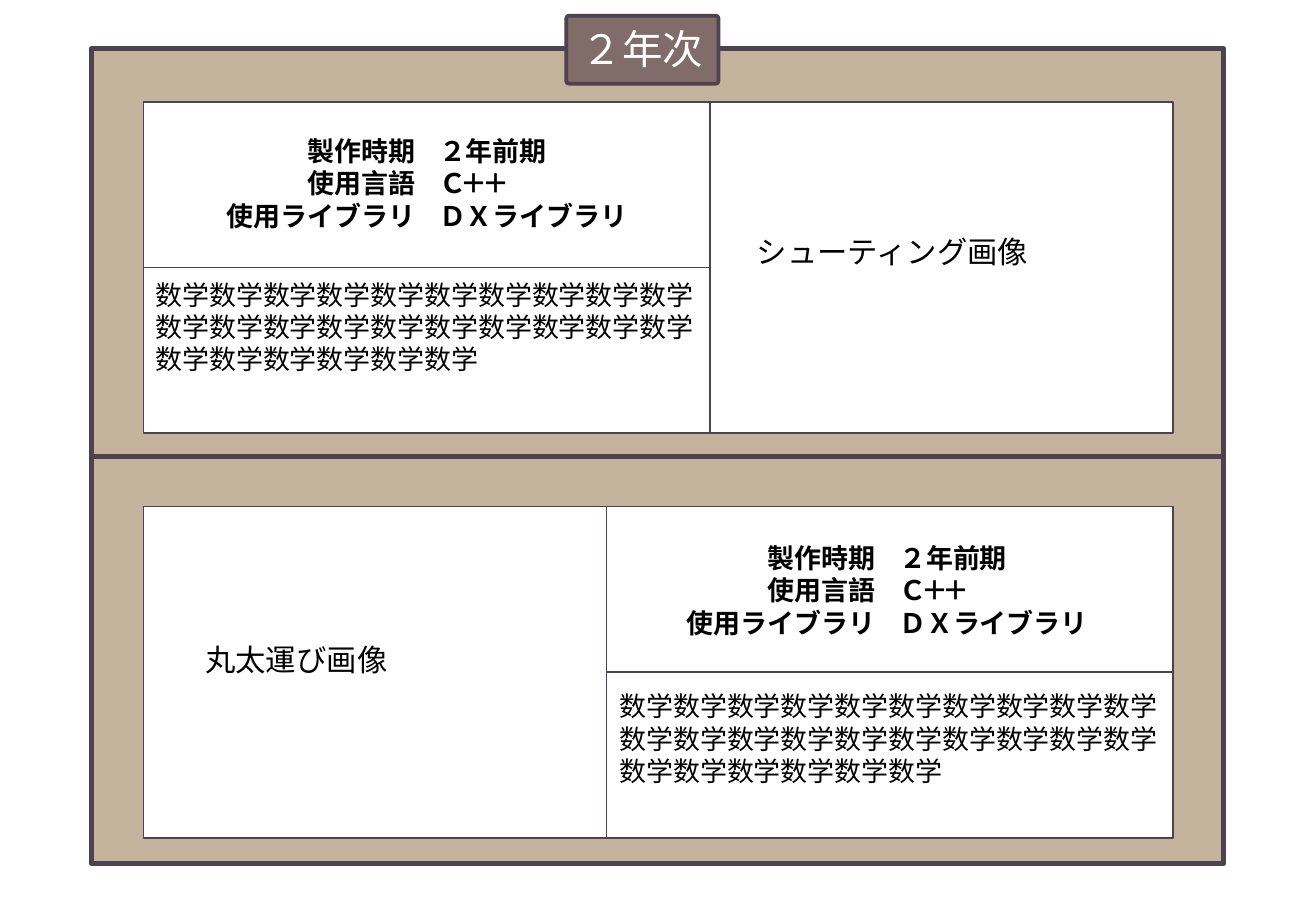
from lxml.etree import SubElement
from pptx import Presentation
from pptx.dml.color import RGBColor
from pptx.enum.shapes import MSO_CONNECTOR, MSO_SHAPE
from pptx.enum.text import MSO_AUTO_SIZE, PP_ALIGN
from pptx.oxml.ns import qn
from pptx.util import Cm, Pt

COLORS = {
    "line": "4E4251",
    "frame": "C4B39D",
    "badge": "806C68",
    "white": "FFFFFF",
    "black": "000000",
}
JAPANESE = "Noto Sans CJK JP"
LATIN = "Calibri"

LEFT, WIDE, NARROW, HEIGHT = 3, 11.84, 9.68, 6.93
LABELS = ["製作時期", "使用言語", "使用ライブラリ"]
VALUES = ["２年前期", "Ｃ＋＋", "ＤＸライブラリ"]
DESCRIPTION = "数学" * 26


def color(name):
    return RGBColor.from_string(COLORS[name])


def add_panel(page, left, top, width, height, fill="white", line=1, kind=MSO_SHAPE.RECTANGLE):
    panel = page.shapes.add_shape(kind, Cm(left), Cm(top), Cm(width), Cm(height))
    panel.shadow.inherit = False
    panel.fill.solid()
    panel.fill.fore_color.rgb = color(fill)
    panel.line.color.rgb = color("line")
    panel.line.width = Pt(line)
    return panel


def add_divider(page, panel, width):
    """Draw a line across the middle of a panel, joined to its left and right sides."""
    divider = page.shapes.add_connector(MSO_CONNECTOR.STRAIGHT, 0, 0, 0, 0)
    divider.begin_connect(panel, 1)
    divider.end_connect(panel, 3)
    divider.line.color.rgb = color("line")
    divider.line.width = Pt(width)
    SubElement(divider._element.spPr, qn("a:effectLst"))


def add_text(page, lines, left, top, width, height, size=16, font=JAPANESE,
             fill="black", bold=False, align=PP_ALIGN.LEFT):
    box = page.shapes.add_textbox(Cm(left), Cm(top), Cm(width), Cm(height))
    frame = box.text_frame
    frame.word_wrap = True
    frame.auto_size = MSO_AUTO_SIZE.SHAPE_TO_FIT_TEXT
    for index, text in enumerate(lines):
        para = frame.add_paragraph() if index else frame.paragraphs[0]
        para.alignment = align
        span = para.add_run()
        span.text = text
        span.font.size = Pt(size)
        span.font.bold = bold
        span.font.color.rgb = color(fill)
        span.font.name = font
        properties = span.font._element
        if font == JAPANESE:
            SubElement(properties, qn("a:ea"), typeface=font)
        if text == "Ｃ＋＋":
            properties.set("spc", "-300")


def add_facts(page, left, top, width):
    """Place right-aligned labels beside their values."""
    add_text(page, LABELS, left, top, width, 2.31, bold=True, align=PP_ALIGN.RIGHT)
    add_text(page, VALUES, left + width, top, width, 2.31, bold=True)


def add_work(page, top, facts_left, image_left):
    add_panel(page, image_left, top, NARROW, HEIGHT)
    facts_panel = add_panel(page, facts_left, top, WIDE, HEIGHT)
    add_divider(page, facts_panel, 1)


def main():
    deck = Presentation()
    deck.slide_width, deck.slide_height = Cm(27.51), Cm(19.05)
    page = deck.slides.add_slide(deck.slide_layouts[6])

    frame = add_panel(page, 1.91, 1.02, 23.67, 17.04, fill="frame", line=3)
    add_divider(page, frame, 3)

    add_work(page, 2.13, facts_left=LEFT, image_left=LEFT + WIDE)
    add_facts(page, LEFT, 2.69, 5.93)
    add_text(page, [DESCRIPTION], LEFT, 5.69, WIDE, 2.31)
    add_text(page, ["シューティング画像"], 15.57, 4.75, 8.08, 1.02, size=18, font=LATIN)

    add_work(page, 10.59, facts_left=LEFT + NARROW, image_left=LEFT)
    add_facts(page, 12.55, 11.2, 6)
    add_text(page, [DESCRIPTION], 12.7, 14.3, 11.91, 2.31)
    add_text(page, ["丸太運び画像"], 4.04, 13.28, 8.08, 1.02, size=18, font=LATIN)

    badge = add_panel(page, 11.84, 0.33, 3.18, 1.42, fill="badge", line=2.25,
                      kind=MSO_SHAPE.ROUNDED_RECTANGLE)
    badge.adjustments[0] = 0.04
    add_text(page, ["２年次"], 11.84, 0.38, 3.18, 1.27, size=24, fill="white",
             align=PP_ALIGN.CENTER)

    deck.save("out.pptx")


if __name__ == "__main__":
    main()
